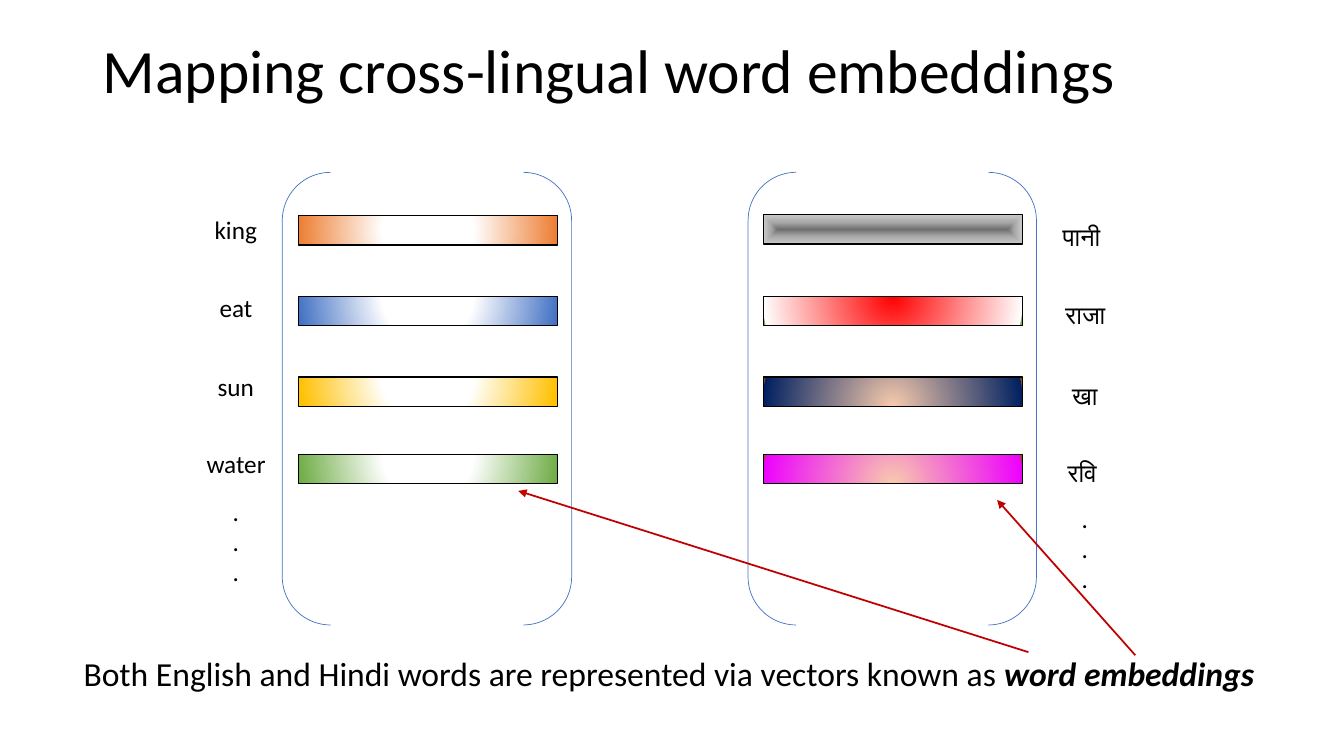
from dataclasses import dataclass

from lxml import etree
from pptx import Presentation
from pptx.dml.color import RGBColor
from pptx.enum.shapes import MSO_CONNECTOR, MSO_SHAPE
from pptx.enum.text import MSO_ANCHOR, MSO_AUTO_SIZE, PP_ALIGN
from pptx.oxml.ns import qn
from pptx.shapes.autoshape import Shape
from pptx.slide import Slide
from pptx.text.text import TextFrame, _Paragraph
from pptx.util import Inches, Pt

FONT = "Calibri"
BLACK = RGBColor(0x00, 0x00, 0x00)
WHITE = RGBColor(0xFF, 0xFF, 0xFF)
BLUE = RGBColor(0x44, 0x72, 0xC4)
ORANGE = RGBColor(0xED, 0x7D, 0x31)
GOLD = RGBColor(0xFF, 0xC0, 0x00)
GREEN = RGBColor(0x70, 0xAD, 0x47)
RED = RGBColor(0xFF, 0x00, 0x00)
DARK_RED = RGBColor(0xC0, 0x00, 0x00)
PEACH = RGBColor(0xF8, 0xCB, 0xAD)
BROWN = RGBColor(0x9E, 0x48, 0x0E)
NAVY = RGBColor(0x00, 0x20, 0x60)
MAGENTA = RGBColor(0xED, 0x01, 0xFE)
DARK_GRAY = RGBColor(0x6F, 0x6F, 0x6F)
MID_GRAY = RGBColor(0xA8, 0xA8, 0xA8)
LIGHT_GRAY = RGBColor(0xC9, 0xC9, 0xC9)

CENTER = (50, 50, 50, 50)
ABOVE = (50, -80, 50, 180)
BELOW = (50, 130, 50, -30)


@dataclass(frozen=True)
class Gradient:
    stops: tuple[tuple[int, RGBColor], ...]
    focus: tuple[int, int, int, int]
    kind: str = "circle"


@dataclass(frozen=True)
class Word:
    text: str
    left: float
    top: float
    width: float
    vector_top: float
    gradient: Gradient
    align: PP_ALIGN = PP_ALIGN.LEFT


@dataclass(frozen=True)
class Vocabulary:
    bracket_left: float
    bracket_width: float
    vector_left: float
    dots_left: float
    dots_top: float
    words: tuple[Word, ...]


@dataclass(frozen=True)
class Arrow:
    tip: tuple[float, float]
    tail: tuple[float, float]


def white_to(color: RGBColor) -> Gradient:
    return Gradient(((0, WHITE), (35, WHITE), (100, color)), ABOVE)


def peach_to(color: RGBColor) -> Gradient:
    return Gradient(((0, PEACH), (100, color), (100, BROWN)), BELOW)


ENGLISH = Vocabulary(2.8, 2.87, 2.96, 2.21, 4.87, (
    Word("king", 2.03, 2.08, 0.63, 2.14, Gradient(((35, WHITE), (100, ORANGE)), CENTER)),
    Word("eat", 2.08, 2.85, 0.53, 2.94, white_to(BLUE)),
    Word("sun", 2.06, 3.63, 0.57, 3.74, white_to(GOLD)),
    Word("water", 1.95, 4.4, 0.79, 4.51, white_to(GREEN)),
))
HINDI = Vocabulary(7.42, 2.86, 7.57, 10.63, 4.94, (
    Word("पानी", 10.44, 2.15, 0.65, 2.13,
         Gradient(((0, DARK_GRAY), (48, MID_GRAY), (100, LIGHT_GRAY)), CENTER, "shape")),
    Word("राजा", 10.44, 2.92, 0.65, 2.94,
         Gradient(((0, RED), (100, WHITE), (100, GREEN)), ABOVE), PP_ALIGN.CENTER),
    Word("खा", 10.52, 3.72, 0.48, 3.74, peach_to(NAVY), PP_ALIGN.CENTER),
    Word("रवि", 10.49, 4.49, 0.55, 4.51, peach_to(MAGENTA)),
))
ARROWS = (
    Arrow((5.14, 4.87), (10.2, 6.47)),
    Arrow((9.89, 4.96), (11.26, 6.5)),
)


def add_frame(slide: Slide, left: float, top: float, width: float, height: float) -> TextFrame:
    box = slide.shapes.add_textbox(Inches(left), Inches(top), Inches(width), Inches(height))
    frame = box.text_frame
    frame.word_wrap = False
    frame.auto_size = MSO_AUTO_SIZE.SHAPE_TO_FIT_TEXT
    return frame


def add_run(paragraph: _Paragraph, text: str, size: int, emphasis: bool = False) -> None:
    run = paragraph.add_run()
    run.text = text
    run.font.name = FONT
    run.font.size = Pt(size)
    run.font.color.rgb = BLACK
    if emphasis:
        run.font.bold = run.font.italic = True


def fill_gradient(shape: Shape, gradient: Gradient) -> None:
    shape.fill.background()
    properties = shape._element.spPr
    grad_fill = etree.Element(qn("a:gradFill"), rotWithShape="1")
    stop_list = etree.SubElement(grad_fill, qn("a:gsLst"))
    for position, color in gradient.stops:
        stop = etree.SubElement(stop_list, qn("a:gs"), pos=str(position * 1000))
        etree.SubElement(stop, qn("a:srgbClr"), val=str(color))
    shading = etree.SubElement(grad_fill, qn("a:path"), path=gradient.kind)
    focus = {side: str(value * 1000) for side, value in zip("ltrb", gradient.focus)}
    etree.SubElement(shading, qn("a:fillToRect"), focus)
    properties.replace(properties.find(qn("a:noFill")), grad_fill)


def add_outline(slide: Slide, kind: MSO_SHAPE, box: tuple[float, float, float, float],
                color: RGBColor, weight: float) -> Shape:
    shape = slide.shapes.add_shape(kind, *(Inches(length) for length in box))
    shape.shadow.inherit = False
    shape.fill.background()
    shape.line.color.rgb = color
    shape.line.width = Pt(weight)
    return shape


def add_vocabulary(slide: Slide, vocabulary: Vocabulary) -> None:
    """Draw a bracketed matrix of word vectors with a label beside each row."""
    add_outline(slide, MSO_SHAPE.DOUBLE_BRACKET,
                (vocabulary.bracket_left, 1.71, vocabulary.bracket_width, 4.49), BLUE, 0.5)
    for word in vocabulary.words:
        label = add_frame(slide, word.left, word.top, word.width, 0.4).paragraphs[0]
        label.alignment = word.align
        add_run(label, word.text, 18)
        vector = add_outline(slide, MSO_SHAPE.RECTANGLE,
                             (vocabulary.vector_left, word.vector_top, 2.57, 0.29), BLACK, 1)
        fill_gradient(vector, word.gradient)
    dots = add_frame(slide, vocabulary.dots_left, vocabulary.dots_top, 0.27, 1.01)
    for row in range(3):
        add_run(dots.add_paragraph() if row else dots.paragraphs[0], ".", 18)


def add_arrow(slide: Slide, arrow: Arrow) -> None:
    ends = (Inches(length) for length in (*arrow.tip, *arrow.tail))
    connector = slide.shapes.add_connector(MSO_CONNECTOR.STRAIGHT, *ends)
    connector.line.color.rgb = DARK_RED
    connector.line.width = Pt(1.25)
    etree.SubElement(connector.line._get_or_add_ln(), qn("a:headEnd"), type="triangle")
    etree.SubElement(connector._element.spPr, qn("a:effectLst"))


def main() -> None:
    presentation = Presentation()
    presentation.slide_width = Inches(13.33)
    presentation.slide_height = Inches(7.5)
    slide = presentation.slides.add_slide(presentation.slide_layouts[6])

    title = add_frame(slide, 0.92, 0, 11.5, 1.45)
    title.auto_size = MSO_AUTO_SIZE.NONE
    title.word_wrap = True
    title.vertical_anchor = MSO_ANCHOR.MIDDLE
    title.paragraphs[0].line_spacing = 0.9
    add_run(title.paragraphs[0], "Mapping cross-lingual word embeddings", 44)

    for vocabulary in (ENGLISH, HINDI):
        add_vocabulary(slide, vocabulary)

    summary = add_frame(slide, 0.73, 6.43, 11.88, 0.5).paragraphs[0]
    add_run(summary, "Both English and Hindi words are represented via vectors known as ", 24)
    add_run(summary, "word embeddings", 24, emphasis=True)

    for arrow in ARROWS:
        add_arrow(slide, arrow)

    presentation.save("out.pptx")


if __name__ == "__main__":
    main()
